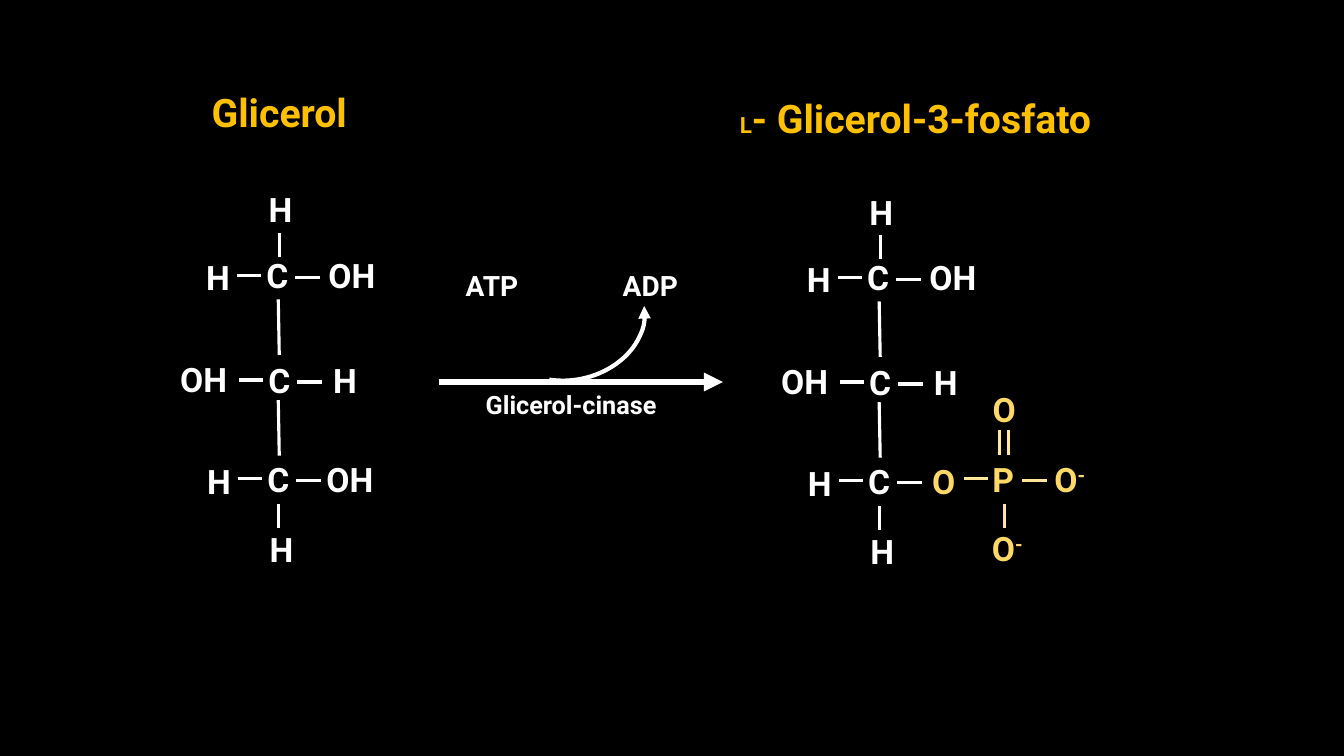
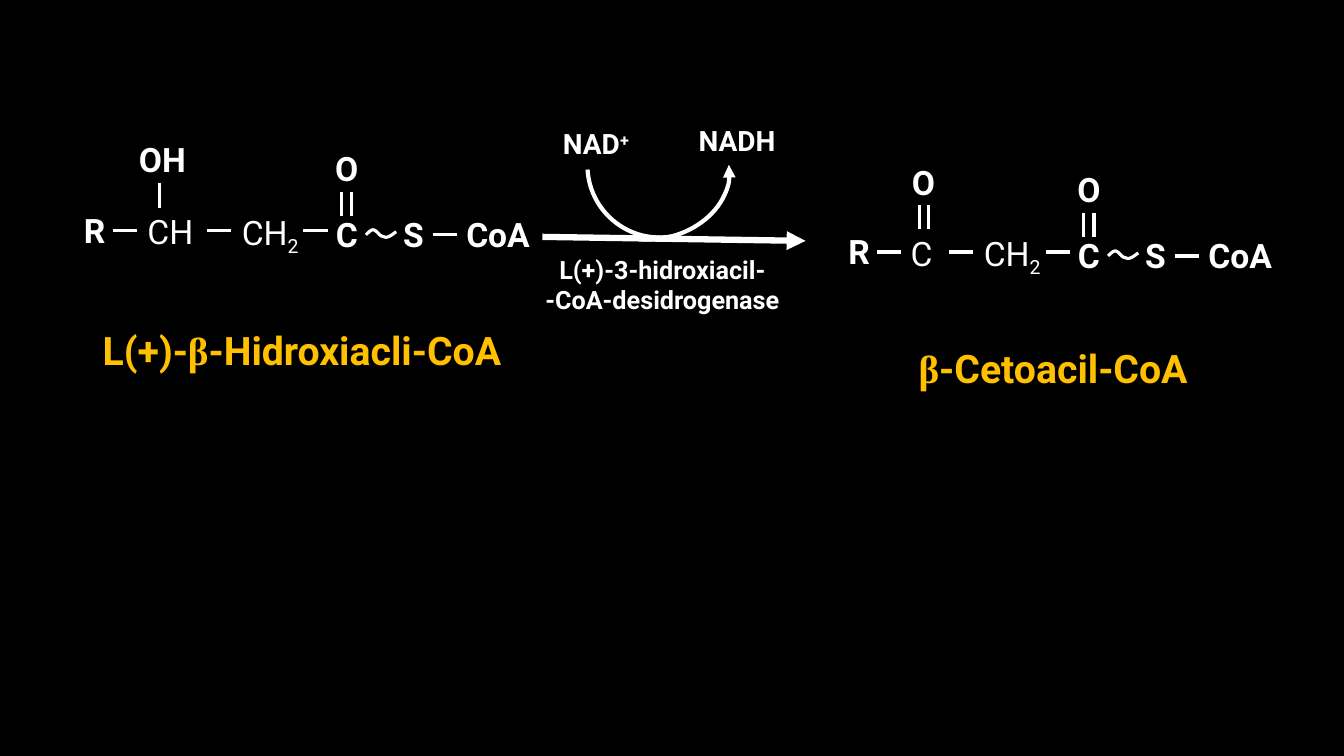
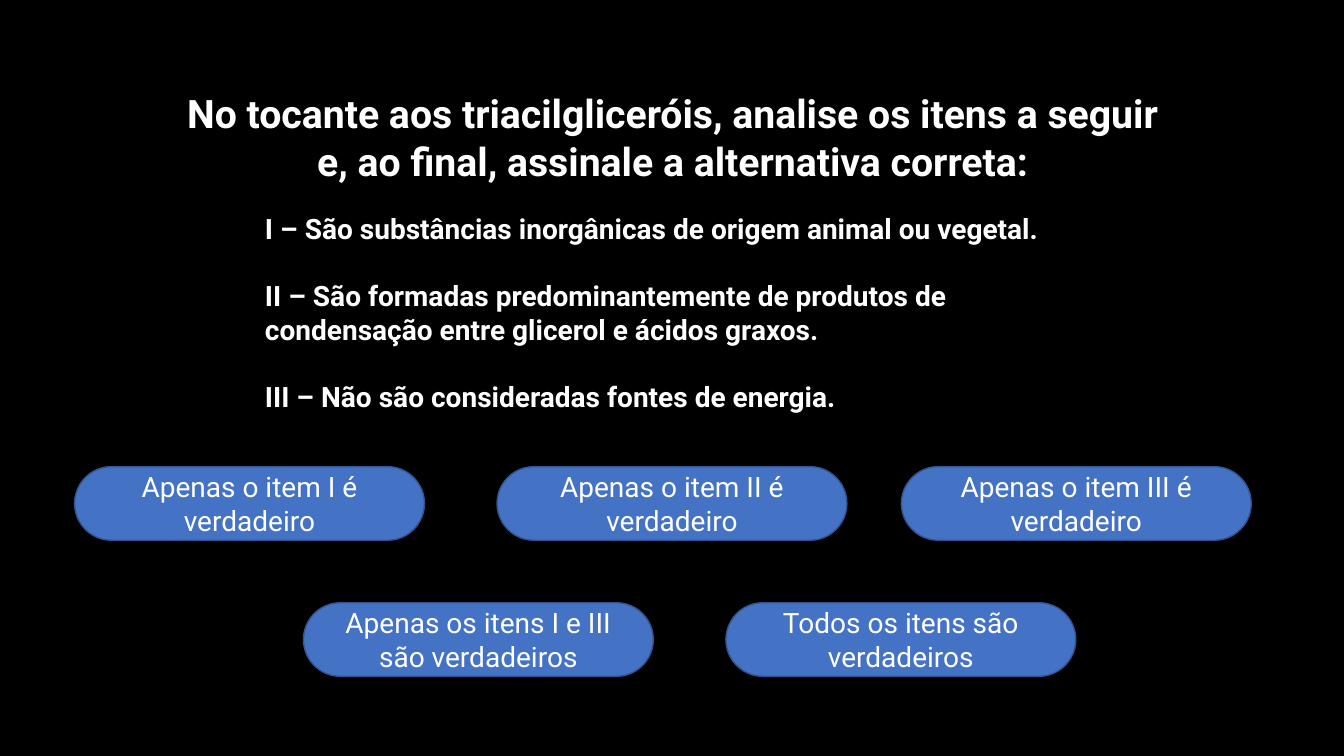
from lxml import etree
from pptx import Presentation
from pptx.dml.color import RGBColor
from pptx.enum.shapes import MSO_CONNECTOR, MSO_SHAPE
from pptx.enum.text import MSO_ANCHOR, MSO_AUTO_SIZE, PP_ALIGN
from pptx.oxml.ns import qn
from pptx.util import Inches, Pt

FONT = "Roboto"
BLACK, WHITE, GOLD = "000000", "FFFFFF", "FFC000"
SAND, CREAM = "FFD966", "FFE699"
BLUE, NAVY = "4472C4", "325491"

WIDTHS = {"H": 0.39, "C": 0.52, "P": 0.52, "R": 0.53, "O": 0.59, "S": 0.68,
          "CH": 0.7, "O-": 0.7, "CH2": 0.79, "OH": 0.8, "CoA": 1.02}
ACROSS, DOWN, LONG = (0.24, 0), (0, 0.24), (0.01, 0.55)
MINUS = [("O", {}), ("-", {"base": 30})]
METHYL = [("CH", {}), ("2", {"base": -25})]

GLYCEROL = {
    "atoms": [("H", 2.14, 2.75), ("C", 2.75, 2.73), ("OH", 3.49, 2.73),
              ("H", 2.76, 2.08), ("OH", 2.02, 3.76), ("C", 2.77, 3.77),
              ("H", 3.4, 3.77), ("H", 2.15, 4.77), ("C", 2.76, 4.75),
              ("H", 2.77, 5.45)],
    "bonds": [(2.35, 2.73, ACROSS), (2.93, 2.75, ACROSS), (2.77, 2.31, DOWN),
              (2.76, 2.97, LONG), (2.37, 3.77, ACROSS), (2.95, 3.79, ACROSS),
              (2.76, 3.97, LONG), (2.36, 4.75, ACROSS), (2.94, 4.77, ACROSS),
              (2.76, 5, DOWN)],
}
PHOSPHATE = {
    "atoms": [("O", 9.36, 4.77), ("P", 9.95, 4.75), (MINUS, 10.61, 4.75),
              (MINUS, 9.99, 5.44), ("O", 9.96, 4.06)],
    "bonds": [(9.56, 4.75, ACROSS), (10.14, 4.77, ACROSS), (9.96, 5, DOWN),
              (9.91, 4.27, DOWN), (10, 4.27, DOWN)],
}
ROOT = {"atoms": [("R", 0.94, 2.28)], "bonds": [(1.12, 2.29, ACROSS)]}
TAIL = {
    "atoms": [("C", 3.44, 2.32), ("S", 4.1, 2.32), ("O", 3.44, 1.67),
              ("CoA", 4.94, 2.32)],
    "bonds": [(3.39, 1.9, DOWN), (3.49, 1.9, DOWN), (3.01, 2.29, ACROSS),
              (2.05, 2.29, ACROSS), (4.29, 2.33, ACROSS)],
}
HYDROXY = {"atoms": [("OH", 1.61, 1.58)], "bonds": [(1.58, 1.82, DOWN)]}
KETO = {"atoms": [("O", 9.16, 1.81)],
        "bonds": [(9.12, 2.03, DOWN), (9.21, 2.03, DOWN)]}
WAVE = [(0, 0.05), (0.02, 0.03), (0.05, 0), (0.07, 0), (0.1, 0), (0.13, 0.05),
        (0.15, 0.06), (0.18, 0.07), (0.2, 0.08), (0.22, 0.07), (0.25, 0.06),
        (0.27, 0.04), (0.3, 0.02)]

QUESTION = ("No tocante aos triacilgliceróis, analise os itens a seguir "
            "e, ao final, assinale a alternativa correta:")
ITEMS = [
    "I – São substâncias inorgânicas de origem animal ou vegetal.",
    "II – São formadas predominantemente de produtos de condensação "
    "entre glicerol e ácidos graxos.",
    "III – Não são consideradas fontes de energia.",
]
CHOICES = [
    (4.63, [(0.74, "Apenas o item I é verdadeiro"),
            (4.93, "Apenas o item II é verdadeiro"),
            (8.94, "Apenas o item III é verdadeiro")]),
    (5.98, [(3.01, "Apenas os itens I e III são verdadeiros"),
            (7.2, "Todos os itens são verdadeiros")]),
]


def rgb(code):
    return RGBColor.from_string(code)


def inch(*nums):
    return [Inches(n) for n in nums]


def write(shape, paras, size, color=WHITE, bold=True, align=PP_ALIGN.CENTER,
          gap=0, lead=1.0, anchor=MSO_ANCHOR.TOP):
    frame = shape.text_frame
    frame.word_wrap = True
    frame.auto_size = MSO_AUTO_SIZE.NONE
    frame.vertical_anchor = anchor
    for i, runs in enumerate(paras):
        para = frame.add_paragraph() if i else frame.paragraphs[0]
        para.alignment, para.line_spacing = align, lead
        if i and gap:
            para.space_before = Pt(gap)
        for text, look in [(runs, {})] if isinstance(runs, str) else runs:
            run = para.add_run()
            run.text = text
            font = run.font
            font.name = look.get("font", FONT)
            font.size = Pt(look.get("size", size))
            font.bold = bold
            font.color.rgb = rgb(color)
            if "base" in look:
                props = run._r.get_or_add_rPr()
                props.set("baseline", str(look["base"] * 1000))


def label(slide, box, paras, size, **style):
    write(slide.shapes.add_textbox(*inch(*box)), paras, size, **style)


def title(slide, box, runs, **style):
    shape = slide.shapes.title
    shape.left, shape.top, shape.width, shape.height = inch(*box)
    write(shape, [runs], 28, **style)


def atom(slide, runs, x, y, color=WHITE, bold=True):
    key = runs if isinstance(runs, str) else "".join(r[0] for r in runs)
    wide = WIDTHS[key]
    label(slide, (x - wide / 2, y - 0.25, wide, 0.5), [runs], 24,
          color=color, bold=bold)


def tip(shape, end):
    etree.SubElement(shape.line._get_or_add_ln(), qn("a:" + end), type="triangle")


def stroke(slide, x, y, span, color=WHITE, width=2.25):
    line = slide.shapes.add_connector(
        MSO_CONNECTOR.STRAIGHT, *inch(x, y, x + span[0], y + span[1]))
    line.line.color.rgb = rgb(color)
    line.line.width = Pt(width)
    etree.SubElement(line._element.spPr, qn("a:effectLst"))
    return line


def draw(slide, part, dx=0, dy=0, color=WHITE, bond=WHITE):
    for x, y, span in part["bonds"]:
        stroke(slide, x + dx, y + dy, span, bond)
    for runs, x, y in part["atoms"]:
        atom(slide, runs, x + dx, y + dy, color)


def outline(shape, width):
    shape.shadow.inherit = False
    shape.fill.background()
    shape.line.color.rgb = rgb(WHITE)
    shape.line.width = Pt(width)


def arc(slide, box, turn, angles):
    shape = slide.shapes.add_shape(MSO_SHAPE.ARC, *inch(*box))
    shape.rotation = turn
    for i, angle in enumerate(angles):
        shape.adjustments[i] = angle * 0.6
    outline(shape, 3)
    return shape


def bend(slide, x, y):
    tip(arc(slide, (x, y, 1.51, 1.21), 168.7, (181.43, 299.55)), "headEnd")


def wave(slide, x, y):
    dots = []
    for k in range(0, len(WAVE) - 1, 3):
        for t in [n / 8 for n in range(9)]:
            rates = [(1 - t) ** 3, 3 * t * (1 - t) ** 2, 3 * t * t * (1 - t), t ** 3]
            spot = [sum(r * p[axis] for r, p in zip(rates, WAVE[k:k + 4]))
                    for axis in (0, 1)]
            dots.append(inch(x + spot[0], y + spot[1]))
    form = slide.shapes.build_freeform(*dots[0])
    form.add_line_segments(dots[1:], close=False)
    outline(form.convert_to_shape(), 2.25)


def chain(slide, dx, dy, root):
    draw(slide, ROOT, root, dy)
    draw(slide, TAIL, dx, dy)
    atom(slide, METHYL, 2.68 + dx, 2.3 + dy, bold=False)
    wave(slide, 3.63 + dx, 2.28 + dy)


def phospho(slide):
    title(slide, (1.52, 0.88, 2.5, 0.58), "Glicerol", color=GOLD, lead=0.9)
    label(slide, (7.13, 0.94, 3.9, 0.58),
          [[("L", {"size": 16}), ("- Glicerol-3-fosfato", {})]], 28,
          color=GOLD, lead=0.9)
    draw(slide, GLYCEROL)
    atom(slide, "OH", 3.47, 4.75)
    draw(slide, GLYCEROL, 5.96, 0.02)
    draw(slide, PHOSPHATE, color=SAND, bond=CREAM)
    tip(stroke(slide, 4.35, 3.79, (2.82, 0), width=4.5), "tailEnd")
    bend(slide, 4.89, 2.56)
    for x, name in [(4.36, "ATP"), (5.93, "ADP")]:
        label(slide, (x, 2.61, 1.04, 0.44), [name], 20)
    label(slide, (4.71, 3.81, 1.91, 0.4), ["Glicerol-cinase"], 18)


def oxide(slide):
    beta = ("β", {"font": "Times New Roman"})
    title(slide, (0.68, 3.24, 4.63, 0.67),
          [("L(+)-", {}), beta, ("-Hidroxiacli-CoA", {})], color=GOLD, lead=0.9)
    label(slide, (8.13, 3.42, 4.63, 0.67), [[beta, ("-Cetoacil-CoA", {})]], 28,
          color=GOLD, lead=0.9)
    chain(slide, 0, 0, 0)
    chain(slide, 7.36, 0.21, 7.58)
    draw(slide, HYDROXY)
    draw(slide, KETO)
    atom(slide, "CH", 1.69, 2.29, bold=False)
    atom(slide, "C", 9.14, 2.51, bold=False)
    tip(stroke(slide, 5.38, 2.35, (2.61, 0.04), width=4.5), "tailEnd")
    arc(slide, (5.82, 0.95, 1.42, 1.4), 228.5, (211.05, 308.92))
    bend(slide, 5.73, 1.16)
    label(slide, (6.79, 1.18, 1.04, 0.44), ["NADH"], 20)
    label(slide, (5.39, 1.21, 1.04, 0.44), [[("NAD", {}), ("+", {"base": 30})]], 20)
    label(slide, (5.21, 2.47, 2.72, 0.71),
          ["L(+)-3-hidroxiacil-", "-CoA-desidrogenase"], 18)


def quiz(slide):
    title(slide, (1.73, 0.84, 9.88, 1.04), QUESTION)
    label(slide, (2.53, 2.05, 8.5, 2.12), ITEMS, 20, align=PP_ALIGN.LEFT, gap=24)
    for y, row in CHOICES:
        for x, text in row:
            pill = slide.shapes.add_shape(MSO_SHAPE.ROUNDED_RECTANGLE,
                                          *inch(x, y, 3.47, 0.73))
            pill.adjustments[0] = 0.5
            pill.shadow.inherit = False
            pill.fill.solid()
            pill.fill.fore_color.rgb = rgb(BLUE)
            pill.line.color.rgb = rgb(NAVY)
            pill.line.width = Pt(1)
            write(pill, [text], 20, bold=False, anchor=MSO_ANCHOR.MIDDLE)


def main():
    deck = Presentation()
    deck.slide_width, deck.slide_height = inch(13.33, 7.5)
    back = deck.slide_master.background.fill
    back.solid()
    back.fore_color.rgb = rgb(BLACK)
    for build in (phospho, oxide, quiz):
        build(deck.slides.add_slide(deck.slide_layouts[5]))
    deck.save("out.pptx")


if __name__ == "__main__":
    main()
